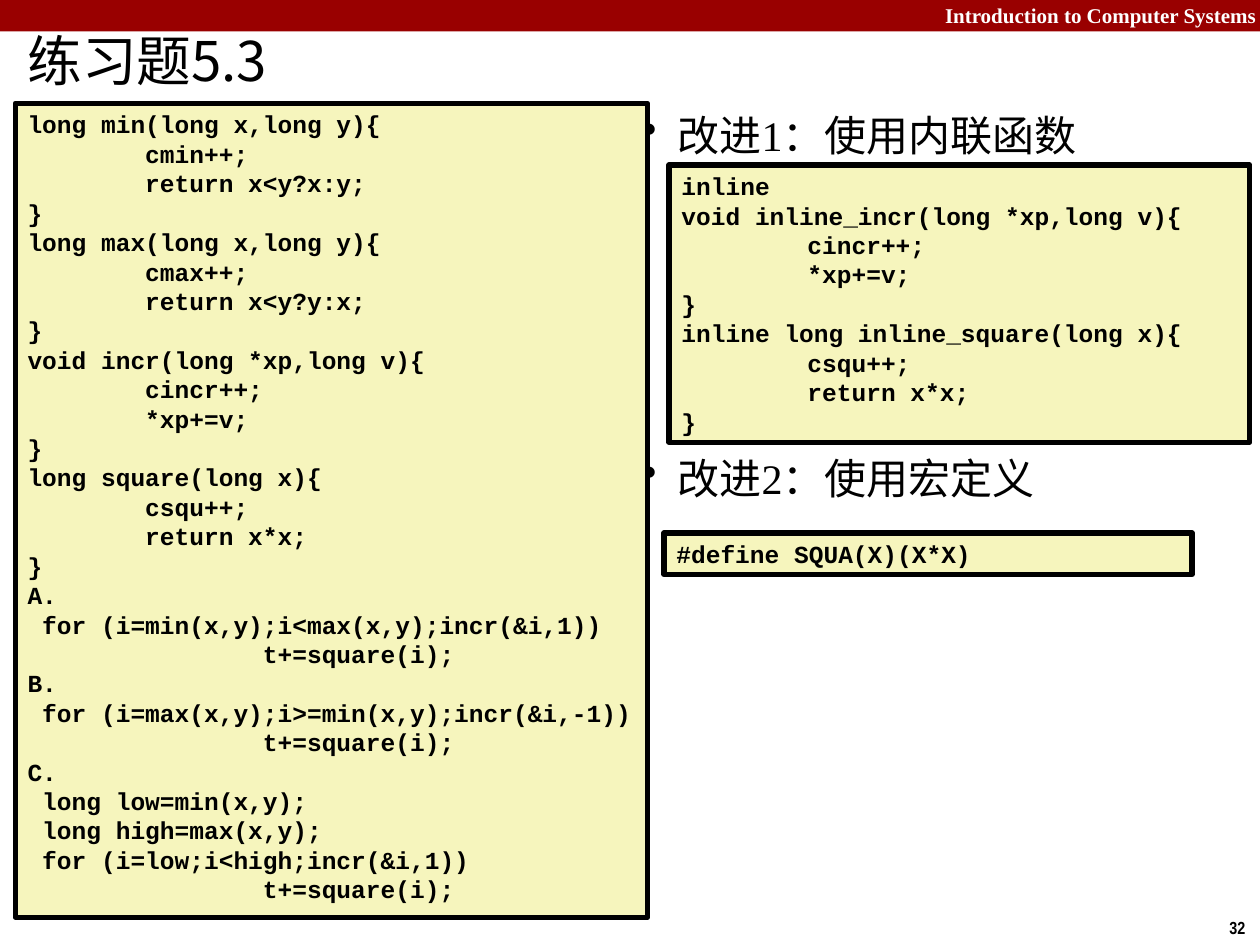
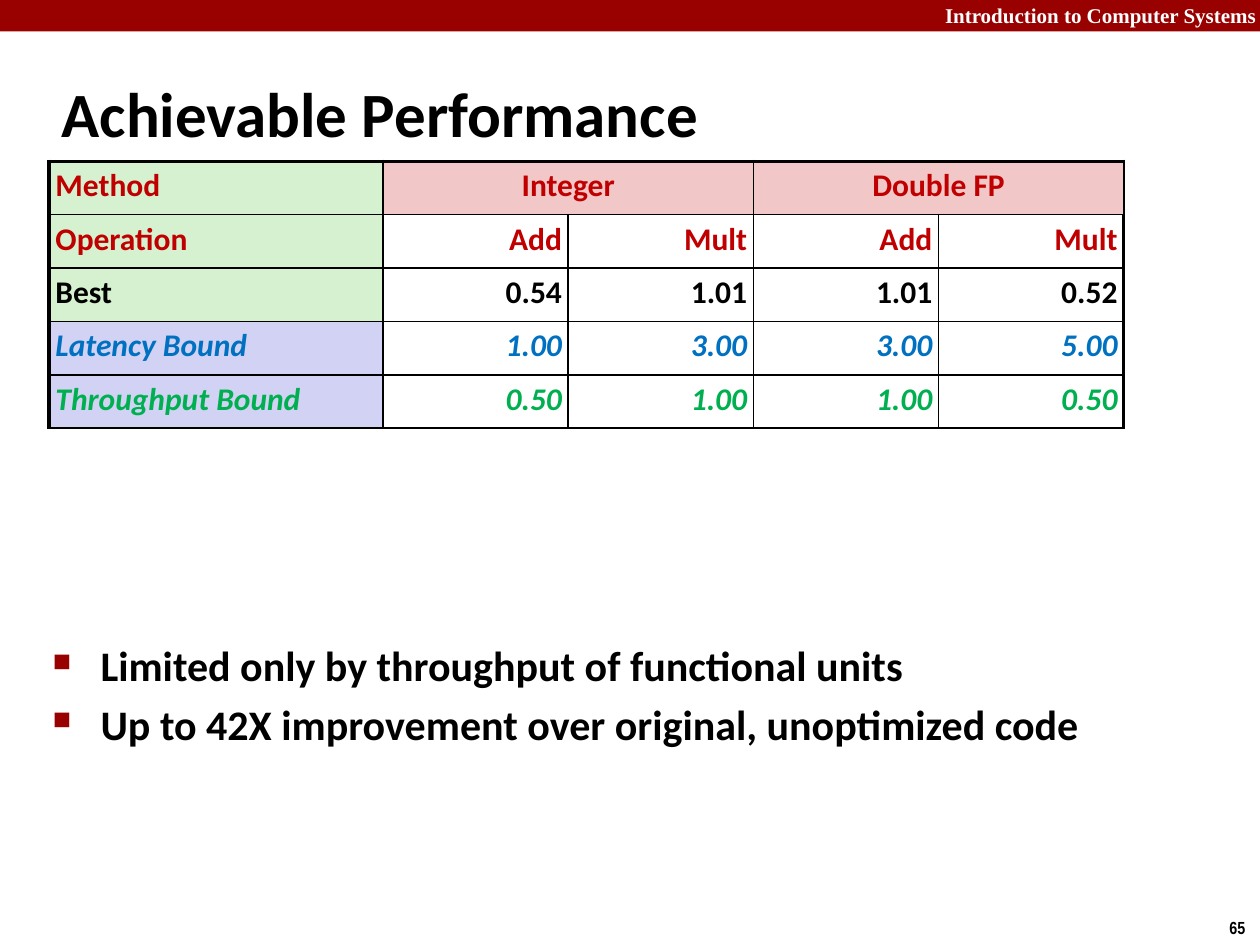
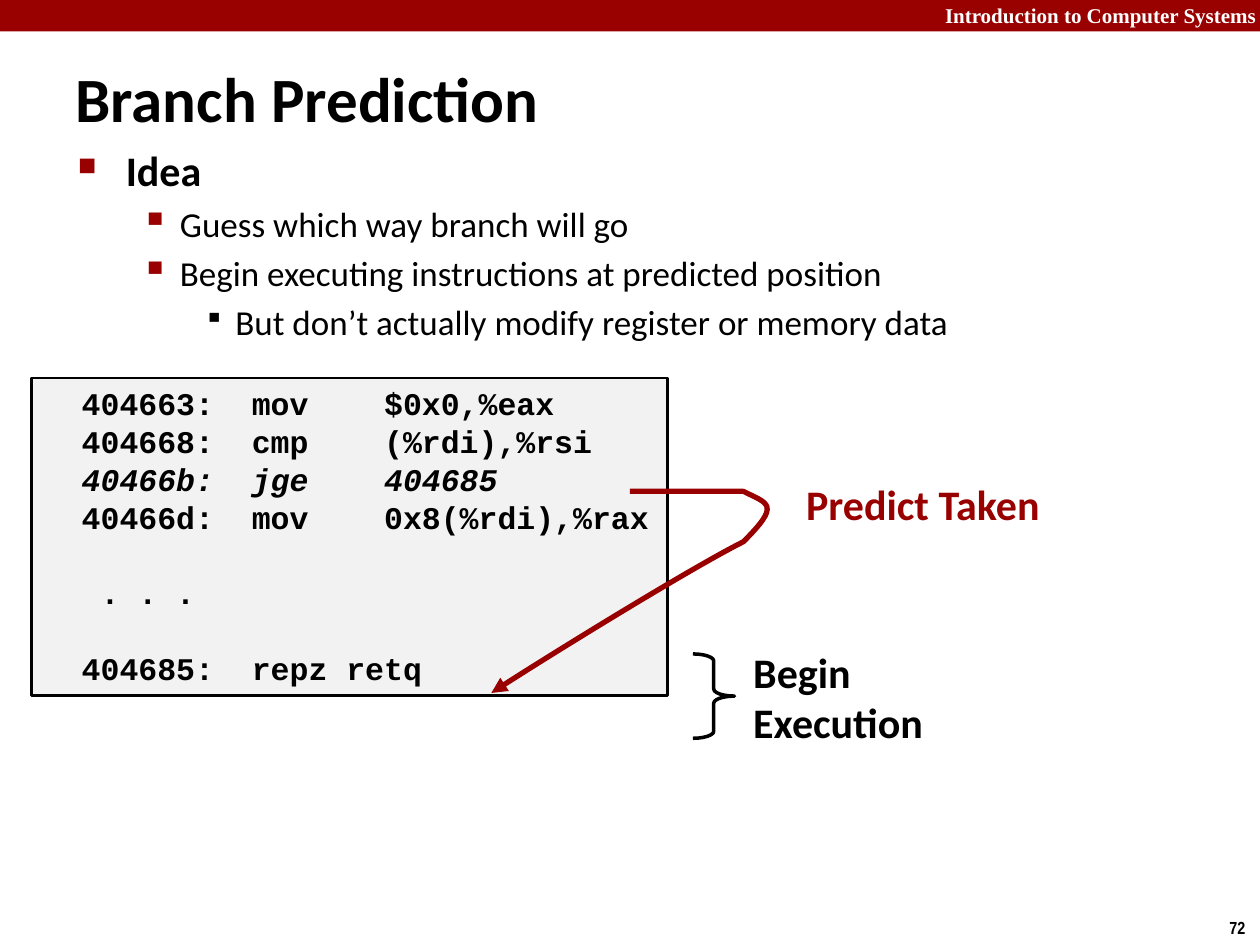
"""Build three course slides: inline functions, achievable performance, branch prediction."""
from dataclasses import dataclass
from typing import Optional, Sequence

from lxml import etree
from pptx import Presentation
from pptx.dml.color import RGBColor
from pptx.enum.shapes import MSO_SHAPE
from pptx.enum.text import MSO_ANCHOR, MSO_AUTO_SIZE, PP_ALIGN
from pptx.oxml.ns import qn
from pptx.util import Inches, Pt

RECTANGLE, RIGHT_BRACE = MSO_SHAPE.RECTANGLE, MSO_SHAPE.RIGHT_BRACE
TOP, MIDDLE = MSO_ANCHOR.TOP, MSO_ANCHOR.MIDDLE
LEFT, CENTER, RIGHT = PP_ALIGN.LEFT, PP_ALIGN.CENTER, PP_ALIGN.RIGHT
NO_AUTOFIT = MSO_AUTO_SIZE.NONE
GRID_COLUMNS, GRID_ROWS = 100, 75
UNIT = Inches(0.1)
TITLE_ONLY = 5


@dataclass(frozen=True)
class Style:
    """Type settings of a paragraph."""
    font: str
    size: float
    color: str = "000000"
    bold: bool = True
    italic: bool = False
    east_asian: Optional[str] = None


@dataclass(frozen=True)
class Theme:
    """Colours and type styles of the deck."""
    crimson: str = "990000"
    black: str = "000000"
    code_cream: str = "F6F5BD"
    code_grey: str = "F2F2F2"
    method_green: str = "D5F1CF"
    group_pink: str = "F1C7C7"
    bound_lilac: str = "D2D2F4"
    header: Style = Style("Times New Roman", 12, "FFFFFF")
    number: Style = Style("Arial Narrow", 10)
    title: Style = Style("Calibri", 36)
    exercise_title: Style = Style("Noto Sans CJK SC", 31.2, bold=False, east_asian="Noto Sans CJK SC")
    improvement: Style = Style("Times New Roman", 24, bold=False, east_asian="Noto Sans CJK SC")
    point: Style = Style("Calibri", 24)
    subpoint: Style = Style("Calibri", 20, bold=False)
    callout: Style = Style("Calibri", 24, "990000")
    code: Style = Style("Courier New", 14)
    assembly: Style = Style("Courier New", 18)
    jump: Style = Style("Courier New", 18, italic=True)
    table_head: Style = Style("Calibri", 18, "C00000")
    table_best: Style = Style("Calibri", 18)
    table_latency: Style = Style("Calibri", 18, "0070C0", italic=True)
    table_throughput: Style = Style("Calibri", 18, "00B050", italic=True)


THEME = Theme()


@dataclass(frozen=True)
class Frame:
    """Left, top, width and height in grid units."""
    column: float
    row: float
    columns: float
    rows: float

    def emu(self) -> tuple[int, ...]:
        """Return the frame as slide lengths."""
        return tuple(round(n * UNIT) for n in (self.column, self.row, self.columns, self.rows))


@dataclass(frozen=True)
class Bullet:
    """Bullet character with its level, indents in inches, colour and size."""
    character: str
    margin: float
    hanging: float
    level: int = 0
    color: Optional[str] = None
    percent: int = 100


DOT = Bullet("•", 0.28, 0.28)
SQUARE = Bullet("■", 0.38, 0.38, 0, THEME.crimson, 60)
SMALL_SQUARE = Bullet("▪", 0.81, 0.31, 1, THEME.crimson, 110)
TINY_SQUARE = Bullet("▪", 1.25, 0.25, 2, None, 80)


@dataclass(frozen=True)
class Line:
    """One paragraph of text."""
    text: str
    style: Style
    bullet: Optional[Bullet] = None
    before: float = 0
    align: PP_ALIGN = LEFT
    spacing: Optional[float] = None
    tab: float = 0


@dataclass(frozen=True)
class CodeBox:
    """Framed listing of code."""
    frame: Frame
    lines: Sequence[Line]
    fill: str
    border: float


@dataclass(frozen=True)
class TableRow:
    """Table row with its label fill and type style."""
    cells: Sequence[str]
    style: Style
    label_fill: str


def rgb(color: str) -> RGBColor:
    """Turn a hex string into a colour."""
    return RGBColor.from_string(color)


def add_child(parent, tag: str, **attributes):
    """Append a DrawingML element."""
    return etree.SubElement(parent, qn(f"a:{tag}"), attributes)


def add_bullet(para, bullet: Bullet) -> None:
    """Give a paragraph a bullet and a hanging indent."""
    para.level = bullet.level
    properties = para._p.get_or_add_pPr()
    properties.set("marL", str(Inches(bullet.margin)))
    properties.set("indent", str(-Inches(bullet.hanging)))
    if bullet.color:
        add_child(add_child(properties, "buClr"), "srgbClr", val=bullet.color)
    add_child(properties, "buSzPct", val=str(bullet.percent * 1000))
    add_child(properties, "buChar", char=bullet.character)


def set_font(para, style: Style) -> None:
    """Apply a type style to a whole paragraph."""
    font = para.font
    font.name, font.size = style.font, Pt(style.size)
    font.bold, font.italic = style.bold, style.italic
    font.color.rgb = rgb(style.color)
    if style.east_asian:
        add_child(para._p.pPr.find(qn("a:defRPr")), "ea", typeface=style.east_asian)


def write(text_frame, lines: Sequence[Line], anchor=TOP, wrap: bool = True) -> None:
    """Fill a text frame with paragraphs."""
    text_frame.auto_size = NO_AUTOFIT
    text_frame.word_wrap = wrap
    text_frame.vertical_anchor = anchor
    for index, line in enumerate(lines):
        para = text_frame.add_paragraph() if index else text_frame.paragraphs[0]
        para.add_run().text = line.text
        para.alignment = line.align
        para.space_before = Pt(line.before)
        if line.spacing:
            para.line_spacing = line.spacing
        if line.bullet:
            add_bullet(para, line.bullet)
        if line.tab:
            tabs = add_child(para._p.get_or_add_pPr(), "tabLst")
            add_child(tabs, "tab", pos=str(Inches(line.tab)), algn="l")
        set_font(para, line.style)


def add_text(page, frame: Frame, lines: Sequence[Line], wrap: bool = True) -> None:
    """Add a text box."""
    write(page.shapes.add_textbox(*frame.emu()).text_frame, lines, wrap=wrap)


def add_outline(page, kind, frame: Frame, fill: Optional[str], border: float = 0):
    """Add a preset shape with an optional fill and black border."""
    shape = page.shapes.add_shape(kind, *frame.emu())
    shape.shadow.inherit = False
    if fill:
        shape.fill.solid()
        shape.fill.fore_color.rgb = rgb(fill)
    else:
        shape.fill.background()
    if border:
        shape.line.color.rgb = rgb(THEME.black)
        shape.line.width = Pt(border)
    else:
        shape.line.fill.background()
    return shape


def add_code(page, box: CodeBox) -> None:
    """Add a framed code listing."""
    write(add_outline(page, RECTANGLE, box.frame, box.fill, box.border).text_frame, box.lines)


def add_page(deck, number: int, title: Line, frame: Frame):
    """Add a slide with the band, course name, page number and title."""
    page = deck.slides.add_slide(deck.slide_layouts[TITLE_ONLY])
    add_outline(page, RECTANGLE, Frame(0, 0, GRID_COLUMNS, 2.5), THEME.crimson)
    add_text(page, Frame(60, -0.3, 40.7, 3),
             [Line("Introduction to Computer Systems", THEME.header, align=RIGHT)])
    add_text(page, Frame(96.6, 72.3, 3.4, 2.7), [Line(str(number), THEME.number)], wrap=False)
    box = page.shapes.title
    box.left, box.top, box.width, box.height = frame.emu()
    write(box.text_frame, [title], MIDDLE)
    return page


def code_lines(listing: str) -> list[Line]:
    """Split a listing into code paragraphs."""
    return [Line(text, THEME.code, tab=1) for text in listing.strip("\n").split("\n")]


def set_borders(cell, widths: dict[str, float]) -> None:
    """Draw the borders of a table cell."""
    properties = cell._tc.get_or_add_tcPr()
    for side, width in widths.items():
        border = add_child(properties, f"ln{side}", w=str(Pt(width)))
        add_child(add_child(border, "solidFill"), "srgbClr", val=THEME.black)


def add_performance_table(page, frame: Frame, rows: Sequence[TableRow]) -> None:
    """Add the table of cycles per element."""
    count = len(rows[0].cells)
    table = page.shapes.add_table(len(rows), count, *frame.emu()).table
    table.first_row = table.horz_banding = False
    label_width = Inches(2.65)
    for index, column in enumerate(table.columns):
        column.width = round((frame.columns * UNIT - label_width) / (count - 1)) if index else label_width
    for r, row in enumerate(rows):
        table.rows[r].height = round(frame.rows * UNIT / len(rows))
        for c, text in enumerate(row.cells):
            cell = table.cell(r, c)
            cell.margin_left = cell.margin_right = cell.margin_top = cell.margin_bottom = Inches(0.05)
            set_borders(cell, {"L": 1 if c else 2.25, "R": 2.25 if c == count - 1 else 1,
                               "T": 1 if r else 2.25, "B": 1})
            fill = THEME.group_pink if r == 0 and c else None if c else row.label_fill
            if fill:
                cell.fill.solid()
                cell.fill.fore_color.rgb = rgb(fill)
            else:
                cell.fill.background()
            if text:
                align = LEFT if c == 0 else RIGHT if r else CENTER
                para = cell.text_frame.paragraphs[0]
                para.add_run().text = text
                para.alignment, para.line_spacing = align, 0.95
                set_font(para, row.style)
    for first in (1, 3):
        table.cell(0, first).merge(table.cell(0, first + 1))


def add_curved_arrow(page, points: Sequence[tuple[float, float]]) -> None:
    """Draw a chain of cubic curves with an arrowhead at its first point."""
    builder = page.shapes.build_freeform(*points[0], scale=UNIT)
    builder.add_line_segments(points[1:], close=False)
    shape = builder.convert_to_shape()
    shape.shadow.inherit = False
    shape.fill.background()
    shape.line.color.rgb = rgb(THEME.crimson)
    shape.line.width = Pt(3)
    outline = next(shape.element.iter(qn("a:path")))
    segments = outline.findall(qn("a:lnTo"))
    for start in range(0, len(segments), 3):
        curve = add_child(outline, "cubicBezTo")
        for segment in segments[start:start + 3]:
            curve.append(segment[0])
            outline.remove(segment)
    add_child(shape.line._get_or_add_ln(), "headEnd", type="triangle")


EXERCISE_CODE = """
long min(long x,long y){
        cmin++;
        return x<y?x:y;
}
long max(long x,long y){
        cmax++;
        return x<y?y:x;
}
void incr(long *xp,long v){
        cincr++;
        *xp+=v;
}
long square(long x){
        csqu++;
        return x*x;
}
A.
 for (i=min(x,y);i<max(x,y);incr(&i,1))
                t+=square(i);
B.
 for (i=max(x,y);i>=min(x,y);incr(&i,-1))
                t+=square(i);
C.
 long low=min(x,y);
 long high=max(x,y);
 for (i=low;i<high;incr(&i,1))
                t+=square(i);
"""

INLINE_CODE = """
inline
void inline_incr(long *xp,long v){
\tcincr++;
\t*xp+=v;
}
inline long inline_square(long x){
\tcsqu++;
\treturn x*x;
}
"""


def add_exercise(deck) -> None:
    """Add the exercise on inline functions and macros."""
    page = add_page(deck, 32, Line("练习题5.3", THEME.exercise_title, spacing=0.9),
                    Frame(1.2, 2, 85.2, 6.2))
    add_text(page, Frame(50, 8.2, 47.2, 64), [
        Line("改进1：使用内联函数", THEME.improvement, DOT),
        Line("改进2：使用宏定义", THEME.improvement, DOT, before=167),
    ])
    for frame, listing in (
        (Frame(1.2, 8.2, 50.2, 64.6), EXERCISE_CODE),
        (Frame(53.1, 13.1, 46.1, 22), INLINE_CODE),
        (Frame(52.7, 42.3, 41.9, 3.3), "#define SQUA(X)(X*X)"),
    ):
        add_code(page, CodeBox(frame, code_lines(listing), THEME.code_cream, 3))


def add_performance(deck) -> None:
    """Add the table of achievable performance."""
    page = add_page(deck, 65, Line("Achievable Performance", THEME.title), Frame(3.9, 4.8, 83, 8.3))
    add_text(page, Frame(3.2, 50.3, 90.9, 20.5), [
        Line("Limited only by throughput of functional units", THEME.point, SQUARE),
        Line("Up to 42X improvement over original, unoptimized code", THEME.point, SQUARE, before=4.8),
    ])
    add_performance_table(page, Frame(3.9, 12.8, 85.3, 21.2), [
        TableRow(("Method", "Integer", "", "Double FP", ""), THEME.table_head, THEME.method_green),
        TableRow(("Operation", "Add", "Mult", "Add", "Mult"), THEME.table_head, THEME.method_green),
        TableRow(("Best", "0.54", "1.01", "1.01", "0.52"), THEME.table_best, THEME.method_green),
        TableRow(("Latency Bound", "1.00", "3.00", "3.00", "5.00"), THEME.table_latency, THEME.bound_lilac),
        TableRow(("Throughput Bound", "0.50", "1.00", "1.00", "0.50"),
                 THEME.table_throughput, THEME.bound_lilac),
    ])


def add_branch_prediction(deck) -> None:
    """Add the branch prediction example."""
    page = add_page(deck, 72, Line("Branch Prediction", THEME.title), Frame(5, 4.6, 61.6, 6.3))
    add_text(page, Frame(5.2, 11, 90.9, 22.4), [
        Line("Idea", THEME.point, SQUARE),
        Line("Guess which way branch will go", THEME.subpoint, SMALL_SQUARE, before=4),
        Line("Begin executing instructions at predicted position", THEME.subpoint, SMALL_SQUARE, before=4),
        Line("But don’t actually modify register or memory data", THEME.subpoint, TINY_SQUARE, before=4),
    ])
    add_text(page, Frame(63, 37.5, 20.7, 5), [Line("Predict Taken", THEME.callout)], wrap=False)
    brace = add_outline(page, RIGHT_BRACE, Frame(55, 51.9, 3.3, 6.7), None, 2)
    brace.adjustments[0], brace.adjustments[1] = 0.17, 0.5
    add_text(page, Frame(58.8, 50.8, 15.6, 9.1),
             [Line(word, THEME.point) for word in ("Begin", "Execution")], wrap=False)
    blank_line = 21.6
    add_code(page, CodeBox(Frame(2.5, 30, 50.5, 25.2), [
        Line("  404663:  mov    $0x0,%eax", THEME.assembly),
        Line("  404668:  cmp    (%rdi),%rsi", THEME.assembly),
        Line("  40466b:  jge    404685", THEME.jump),
        Line("  40466d:  mov    0x8(%rdi),%rax", THEME.assembly),
        Line("   . . .", THEME.assembly, before=blank_line),
        Line("  404685:  repz retq", THEME.assembly, before=blank_line),
    ], THEME.code_grey, 1.5))
    add_curved_arrow(page, [
        (39, 55.3), (42.3, 53.2), (55.3, 45.3), (58.7, 42.6), (62.1, 39.9),
        (60.7, 39.8), (59.2, 39.2), (57.7, 38.6), (51.7, 39), (49.7, 39),
    ])


def main() -> None:
    """Build and save the deck."""
    deck = Presentation()
    deck.slide_width, deck.slide_height = GRID_COLUMNS * UNIT, GRID_ROWS * UNIT
    add_exercise(deck)
    add_performance(deck)
    add_branch_prediction(deck)
    deck.save("out.pptx")


if __name__ == "__main__":
    main()
